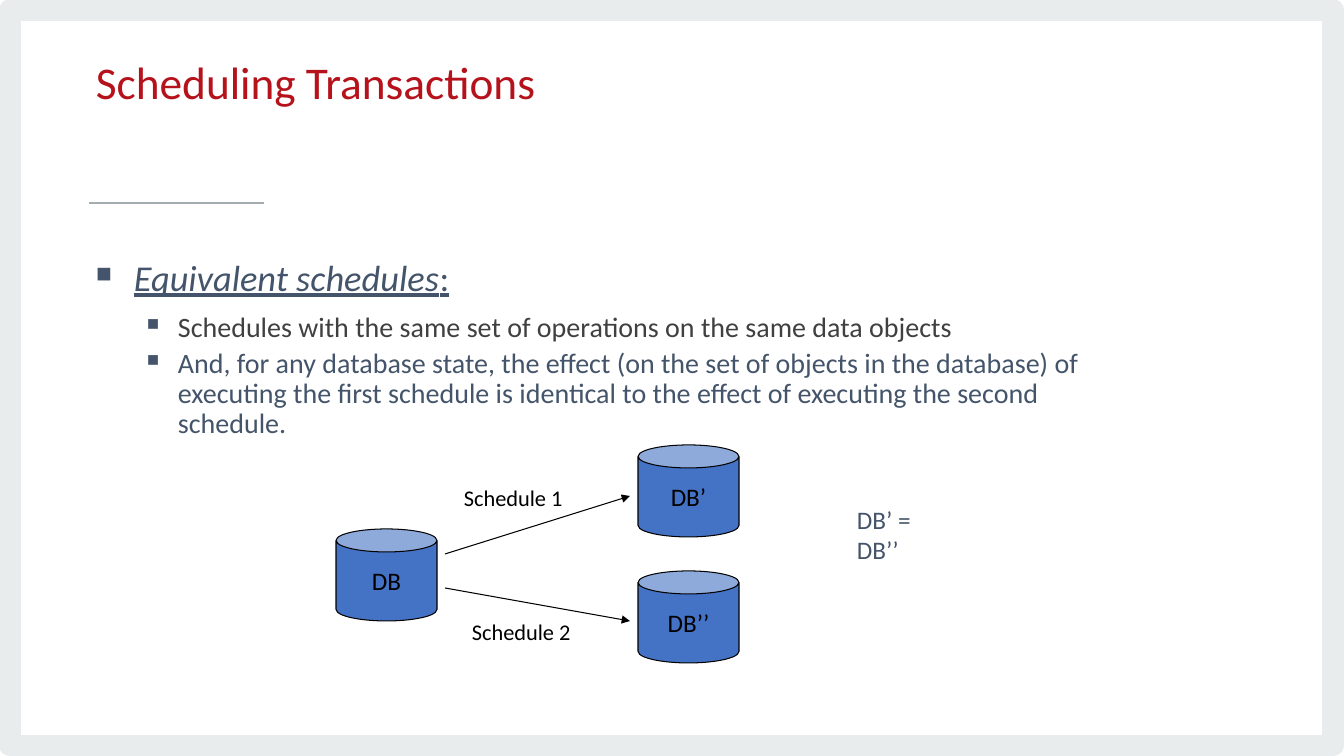
from lxml import etree
from pptx import Presentation, util as u
from pptx.dml.color import RGBColor
from pptx.enum import shapes as sh, text as tx
from pptx.oxml.ns import qn

WIDE, HIGH = 1344, 756
SCALE = 12192000 / WIDE
INK, SLATE, GRAY, RED = "000000", "44546A", "404040", "B5121B"
BLUE, PALE, RULE = "4472C4", "E9ECED", "A6ADB1"


def px(n):
    return u.Emu(round(n * SCALE))


def paint(target, color):
    """Give a fill or font colour one solid hex value."""
    if hasattr(target, "solid"):
        target.solid()
        target = target.fore_color
    target.rgb = RGBColor.from_string(color)


def style(para, size, color):
    para.font.name = "Calibri"
    para.font.size = u.Pt(size)
    paint(para.font.color, color)


def stroke(line, color, width):
    paint(line.fill, color)
    line.width = u.Pt(width)


def box(slide, x, y, w, h):
    frame = slide.shapes.add_textbox(*map(px, (x, y, w, h))).text_frame
    frame.word_wrap = True
    return frame


def label(slide, x, y, words, size, color):
    frame = box(slide, x, y, 120, 38)
    frame.word_wrap = False
    frame.auto_size = tx.MSO_AUTO_SIZE.SHAPE_TO_FIT_TEXT
    frame.text = words
    style(frame.paragraphs[0], size, color)


def link(slide, start, end, color, width, arrow=False):
    line = slide.shapes.add_connector(
        sh.MSO_CONNECTOR.STRAIGHT, *map(px, (*start, *end)))
    stroke(line.line, color, width)
    if arrow:
        outline = line.line._get_or_add_ln()
        etree.SubElement(outline, qn("a:tailEnd"), type="triangle")
    etree.SubElement(line._element.spPr, qn("a:effectLst"))


def bullet(para, left, hang):
    props = para._p.get_or_add_pPr()
    props.set("marL", str(px(left)))
    props.set("indent", str(-px(hang)))
    color = etree.SubElement(props, qn("a:buClr"))
    etree.SubElement(color, qn("a:srgbClr"), val=SLATE)
    etree.SubElement(props, qn("a:buSzPct"), val="60000")
    etree.SubElement(props, qn("a:buChar"), char="■")


def border(slide, x, y, w, h):
    edge = slide.shapes.add_shape(
        sh.MSO_SHAPE.RECTANGLE, *map(px, (x, y, w, h)))
    edge.shadow.inherit = False
    edge.fill.background()
    stroke(edge.line, PALE, 15.11)
    etree.SubElement(edge.line._get_or_add_ln(), qn("a:round"))


def title(slide, x, y, w, h):
    frame = box(slide, x, y, w, h)
    frame.text = "Scheduling Transactions"
    para = frame.paragraphs[0]
    para.line_spacing = u.Pt(34.7)
    style(para, 32.4, RED)
    link(slide, (x + 3, y + 148), (x + 178, y + 148), RULE, 1.33)


def body(slide, x, y, w, h):
    frame = box(slide, x, y, w, h)
    head = frame.paragraphs[0]
    for words, slant in (("Equivalent schedules", True), (":", False)):
        run = head.add_run()
        run.text = words
        run.font.italic = slant
    style(head, 26, SLATE)
    head.font.underline = True
    for run in head.runs:
        run.font.underline = True
    head.line_spacing = 0.9
    head.space_before, head.space_after = u.Pt(5.2), u.Pt(6)
    bullet(head, 38, 38)
    points = (
        ("Schedules with the same set of operations on the same data objects",
         GRAY),
        ("And, for any database state, the effect (on the set of objects in "
         "the database) of executing the first schedule is identical to the "
         "effect of executing the second schedule.", SLATE),
    )
    for words, color in points:
        para = frame.add_paragraph()
        para.text = words
        para.level = 1
        style(para, 20, color)
        para.line_spacing = 0.9
        para.space_before = u.Pt(4)
        bullet(para, 82, 31)


def store(slide, x, y, name):
    can = slide.shapes.add_shape(
        sh.MSO_SHAPE.CAN, *map(px, (x, y, 101, 92)))
    can.shadow.inherit = False
    paint(can.fill, BLUE)
    stroke(can.line, INK, 0.75)
    frame = can.text_frame
    frame.word_wrap = False
    frame.vertical_anchor = tx.MSO_ANCHOR.MIDDLE
    frame.text = name
    para = frame.paragraphs[0]
    para.alignment = tx.PP_ALIGN.CENTER
    style(para, 18, INK)


def diagram(slide, x, y):
    """Draw one database led to two results by two schedules."""
    for dx, dy, name in ((0, 84, "DB"), (302, 0, "DB’"), (302, 126, "DB’’")):
        store(slide, x + dx, y + dy, name)
    for start, end in ((109, 51), (143, 176)):
        link(slide, (x + 109, y + start), (x + 294, y + end), INK, 0.75, True)
    label(slide, x + 118, y + 34, "Schedule 1", 16, INK)
    label(slide, x + 126, y + 168, "Schedule 2", 16, INK)
    label(slide, x + 511, y + 54, "DB’ = DB’’", 18, SLATE)


def main():
    deck = Presentation()
    deck.slide_width, deck.slide_height = px(WIDE), px(HIGH)
    slide = deck.slides.add_slide(deck.slide_layouts[6])
    border(slide, 10, 10, WIDE - 21, HIGH - 20)
    title(slide, 86, 55, 886, 107)
    body(slide, 86, 255, 1074, 425)
    diagram(slide, 336, 445)
    deck.save("out.pptx")


if __name__ == "__main__":
    main()
